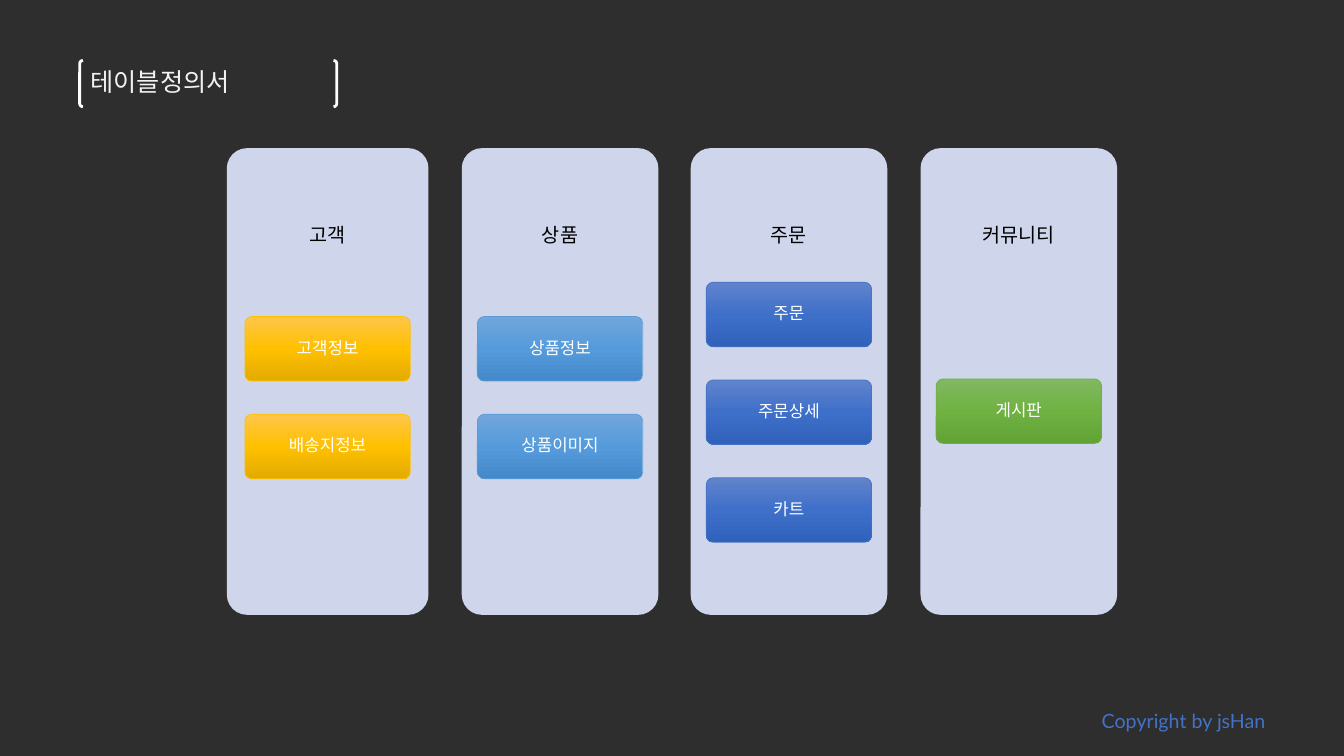
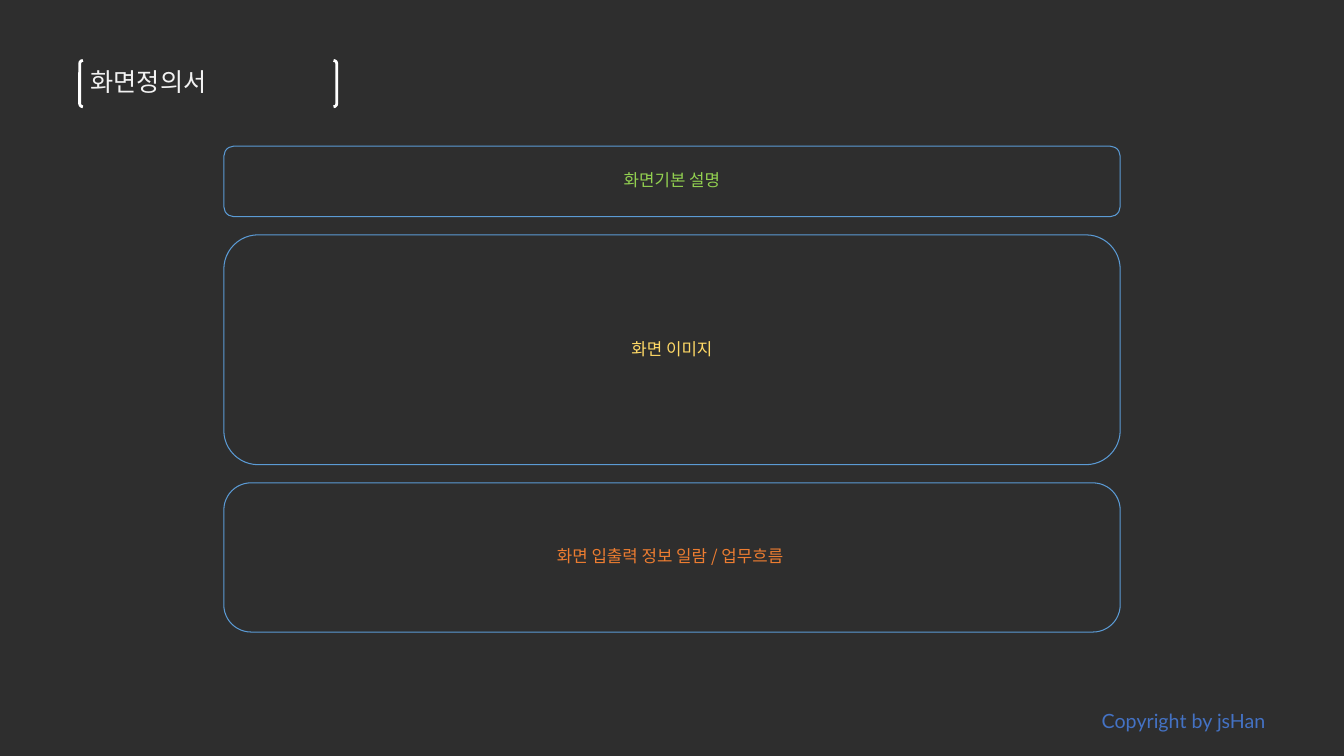
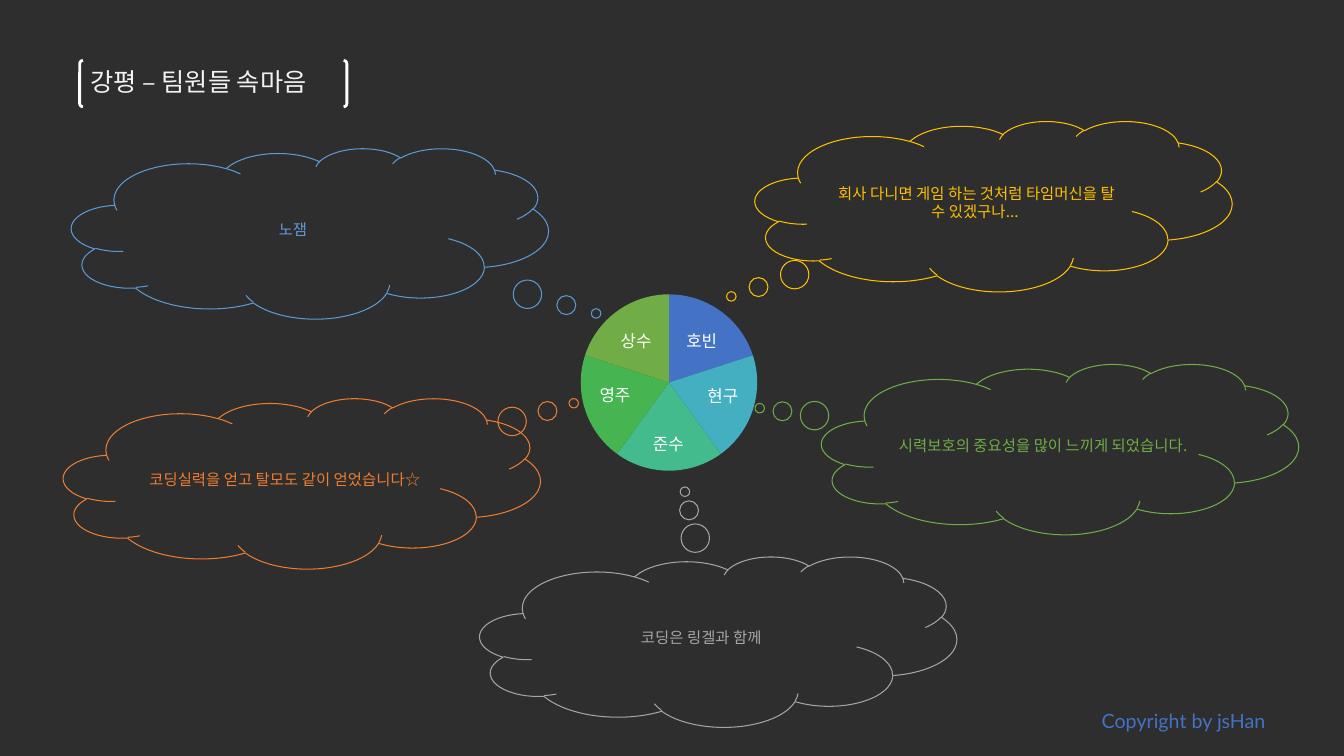
import copy

import pptx
import pptx.dml.color
import pptx.enum.shapes
import pptx.enum.text
import pptx.oxml.ns
import pptx.util

Inches = pptx.util.Inches
Pt = pptx.util.Pt
SHAPE = pptx.enum.shapes.MSO_SHAPE
ALIGN = pptx.enum.text.PP_ALIGN
ANCHOR = pptx.enum.text.MSO_ANCHOR
qn = pptx.oxml.ns.qn


def rgb(value):
    return pptx.dml.color.RGBColor.from_string(value)


class Deck:
    """Shared style, and the slide being drawn."""

    BACKGROUND = "2E2E2E"
    WHITE = "FFFFFF"
    TITLE = "F2F2F2"
    CARD = "CFD5EA"
    BLUE = "5B9BD5"
    COPYRIGHT = "4472C4"
    KOREAN = "Noto Sans CJK KR"

    def __init__(self):
        self.presentation = pptx.Presentation()
        self.presentation.slide_width = Inches(13.33)
        self.presentation.slide_height = Inches(7.5)
        fill = self.presentation.slide_master.background.fill
        fill.solid()
        fill.fore_color.rgb = rgb(self.BACKGROUND)
        self.slide = None

    def new_slide(self, title, title_width=2.55):
        layout = self.presentation.slide_layouts[6]
        self.slide = self.presentation.slides.add_slide(layout)
        self.label("Copyright by jsHan", 10.66, 6.84, 2.16, 0.62,
                   size=14, color=self.COPYRIGHT, font="Lato", spacing=1)
        bracket = self.shape(SHAPE.DOUBLE_BRACKET, 0.79, 0.6, title_width, 0.46,
                             line=self.WHITE, line_width=2, adjustments=[0.07])
        self.set_text(bracket, title, 18, self.TITLE, font="Arial",
                      align=ALIGN.LEFT, anchor=ANCHOR.TOP)

    def shape(self, kind, left, top, width, height, fill=None, line=None,
              line_width=0.75, adjustments=()):
        shape = self.slide.shapes.add_shape(
            kind, Inches(left), Inches(top), Inches(width), Inches(height))
        shape.shadow.inherit = False
        for index, value in enumerate(adjustments):
            shape.adjustments[index] = value
        if isinstance(fill, tuple):
            self.gradient(shape, fill)
        elif fill:
            shape.fill.solid()
            shape.fill.fore_color.rgb = rgb(fill)
        else:
            shape.fill.background()
        if line:
            shape.line.color.rgb = rgb(line)
            shape.line.width = Pt(line_width)
        else:
            shape.line.fill.background()
        return shape

    def gradient(self, shape, colors):
        """Fill from top to bottom with three evenly spaced colours."""
        shape.fill.gradient()
        shape.fill.gradient_angle = 270
        stops = shape.fill.gradient_stops
        stop_list = shape.element.spPr.find(".//" + qn("a:gsLst"))
        stop_list.insert(1, copy.deepcopy(stop_list[0]))
        for index, (stop, color) in enumerate(zip(stops, colors)):
            stop.position = index / 2
            stop.color.rgb = rgb(color)

    def rounded(self, left, top, width, height, radius, **style):
        return self.shape(SHAPE.ROUNDED_RECTANGLE, left, top, width, height,
                          adjustments=[radius / min(width, height)], **style)

    def label(self, text, left, top, width, height, **style):
        box = self.slide.shapes.add_textbox(
            Inches(left), Inches(top), Inches(width), Inches(height))
        self.set_text(box, text, **style)

    def set_text(self, shape, text, size, color, font=KOREAN, align=ALIGN.CENTER,
                 anchor=ANCHOR.MIDDLE, spacing=1, margin=None, bottom=None):
        frame = shape.text_frame
        frame.word_wrap = True
        frame.vertical_anchor = anchor
        if margin is not None:
            frame.margin_left = frame.margin_right = Inches(margin)
            frame.margin_top = frame.margin_bottom = Inches(margin)
        if bottom is not None:
            frame.margin_bottom = Inches(bottom)
        paragraph = frame.paragraphs[0]
        paragraph.text = text
        paragraph.alignment = align
        paragraph.line_spacing = spacing
        paragraph.font.size = Pt(size)
        paragraph.font.name = font
        paragraph.font.color.rgb = rgb(color)
        # Hangul takes its font from the East Asian setting
        latin = paragraph._p.pPr.find(".//" + qn("a:latin"))
        latin.addnext(latin.makeelement(qn("a:ea"), {"typeface": self.KOREAN}))

    def card(self, heading, left, width, first_top, buttons, colors, border):
        card = self.rounded(left, 1.47, width, 4.63, 0.2, fill=self.CARD)
        self.set_text(card, heading, 14, "000000", spacing=0.9, margin=0.09, bottom=2.98)
        button_width = 1.64
        for row, text in enumerate(buttons):
            button = self.rounded(
                left + (width - button_width) / 2, first_top + 0.97 * row,
                button_width, 0.64, 0.07, fill=colors, line=border, line_width=0.5)
            self.set_text(button, text, 12, self.WHITE, spacing=0.9, margin=0.03)

    def panel(self, text, top, height, radius, color):
        panel = self.rounded(2.22, top, 8.89, height, radius, line=self.BLUE)
        self.set_text(panel, text, 12, color, spacing=0.9, margin=0.06)

    def pie(self, left, top, size, members):
        # Angles in units of 100000/60000 degree: 216 is a full turn, 162 the top
        turn, start = 216, 162
        step = turn / len(members)
        for index, (name, color, center_x, center_y) in enumerate(members):
            angles = [(start + step * edge) % turn for edge in (index, index + 1)]
            self.shape(SHAPE.PIE, left, top, size, size, fill=color, adjustments=angles)
            self.label(name, center_x - 0.3, center_y - 0.21, 0.6, 0.42, size=12,
                       color=self.WHITE, spacing=0.9, margin=0.02)

    def thought(self, text, left, top, tail, color):
        cloud = self.shape(SHAPE.CLOUD_CALLOUT, left, top, 4.73, 1.69,
                           line=color, adjustments=tail)
        self.set_text(cloud, text, 11, color)


deck = Deck()

# Slide 1: table groups
deck.new_slide("테이블정의서")
for group in [
    ("고객", 2.25, 2.0, 3.14, ["고객정보", "배송지정보"],
     ("FFC64B", "FFC000", "E3AB00"), "FFC000"),
    ("상품", 4.58, 1.95, 3.14, ["상품정보", "상품이미지"],
     ("71A6DB", "559BDB", "448ACA"), "5B9BD5"),
    ("주문", 6.85, 1.95, 2.8, ["주문", "주문상세", "카트"],
     ("6183CB", "3E70CA", "3062BB"), "4472C4"),
    ("커뮤니티", 9.13, 1.95, 3.76, ["게시판"],
     ("81B861", "6FB242", "62A336"), "70AD47"),
]:
    deck.card(*group)

# Slide 2: screen layout
deck.new_slide("화면정의서")
deck.panel("화면기본 설명", 1.45, 0.7, 0.1, "92D050")
deck.panel("화면 이미지", 2.33, 2.28, 0.34, "FFD966")
deck.panel("화면 입출력 정보 일람 / 업무흐름 ", 4.79, 1.48, 0.27, "ED7D31")

# Slide 3: thoughts of the team
deck.new_slide("강평 – 팀원들 속마음", title_width=2.65)
deck.pie(5.76, 2.92, 1.75, [
    ("호빈", "4472C4", 6.96, 3.39),
    ("현구", "43AFC0", 7.17, 3.94),
    ("준수", "43BB8D", 6.63, 4.42),
    ("영주", "45B451", 6.1, 3.93),
    ("상수", "70AD47", 6.31, 3.39),
])
for thought in [
    ("노잼", 0.71, 1.47, (0.6, 0.47), "5B9BD5"),
    ("코딩실력을 얻고 탈모도 같이 얻었습니다☆", 0.63, 3.95, (0.57, -0.47), "ED7D31"),
    ("시력보호의 중요성을 많이 느끼게 되었습니다.", 8.15, 3.61, (-0.63, -0.24), "70AD47"),
    ("코딩은 링겔과 함께", 4.76, 5.52, (-0.07, -0.88), "A5A5A5"),
    ("회사 다니면 게임 하는 것처럼 타임머신을 탈 수 있겠구나... ",
     7.49, 1.2, (-0.55, 0.53), "FFC000"),
]:
    deck.thought(*thought)

deck.presentation.save("out.pptx")
